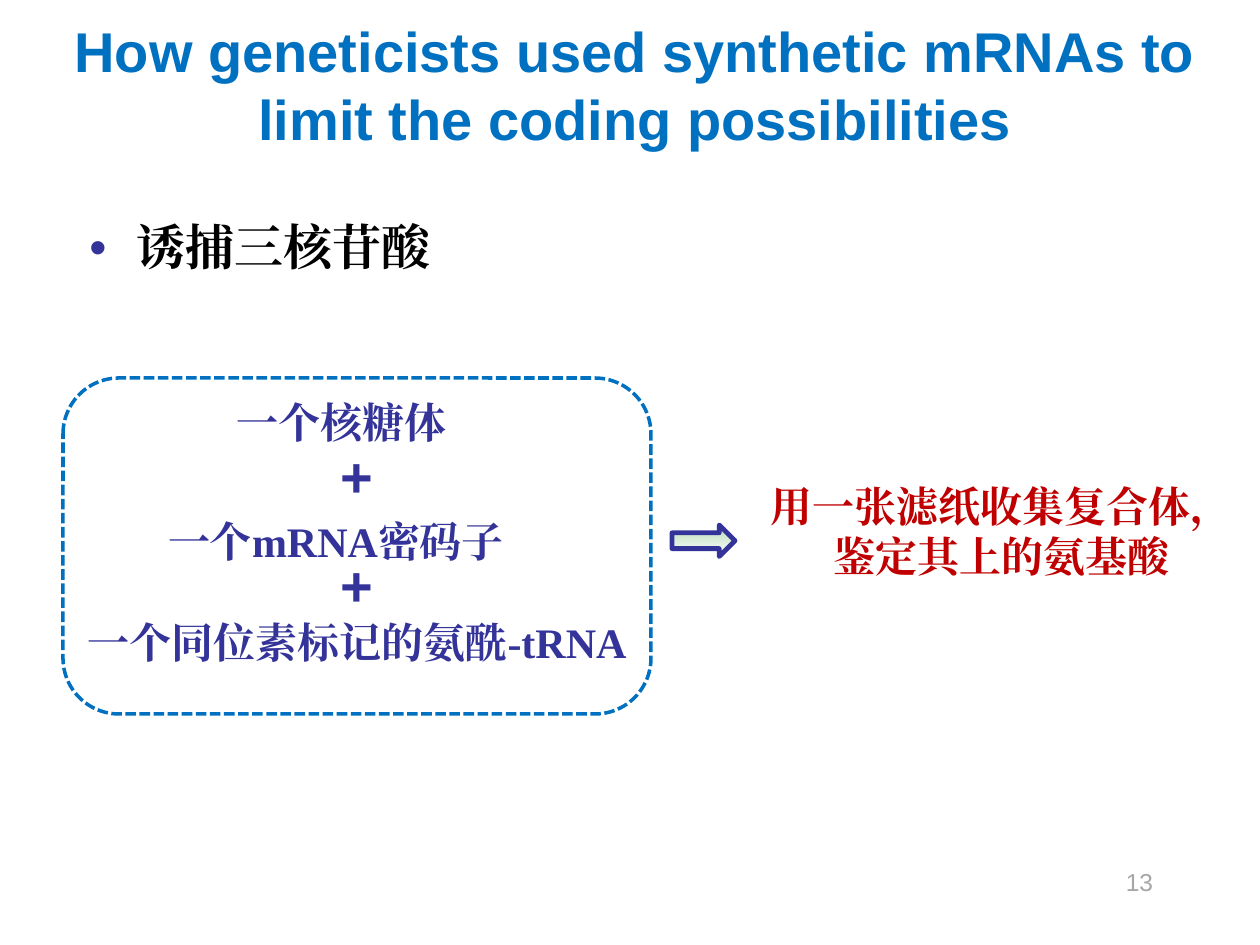
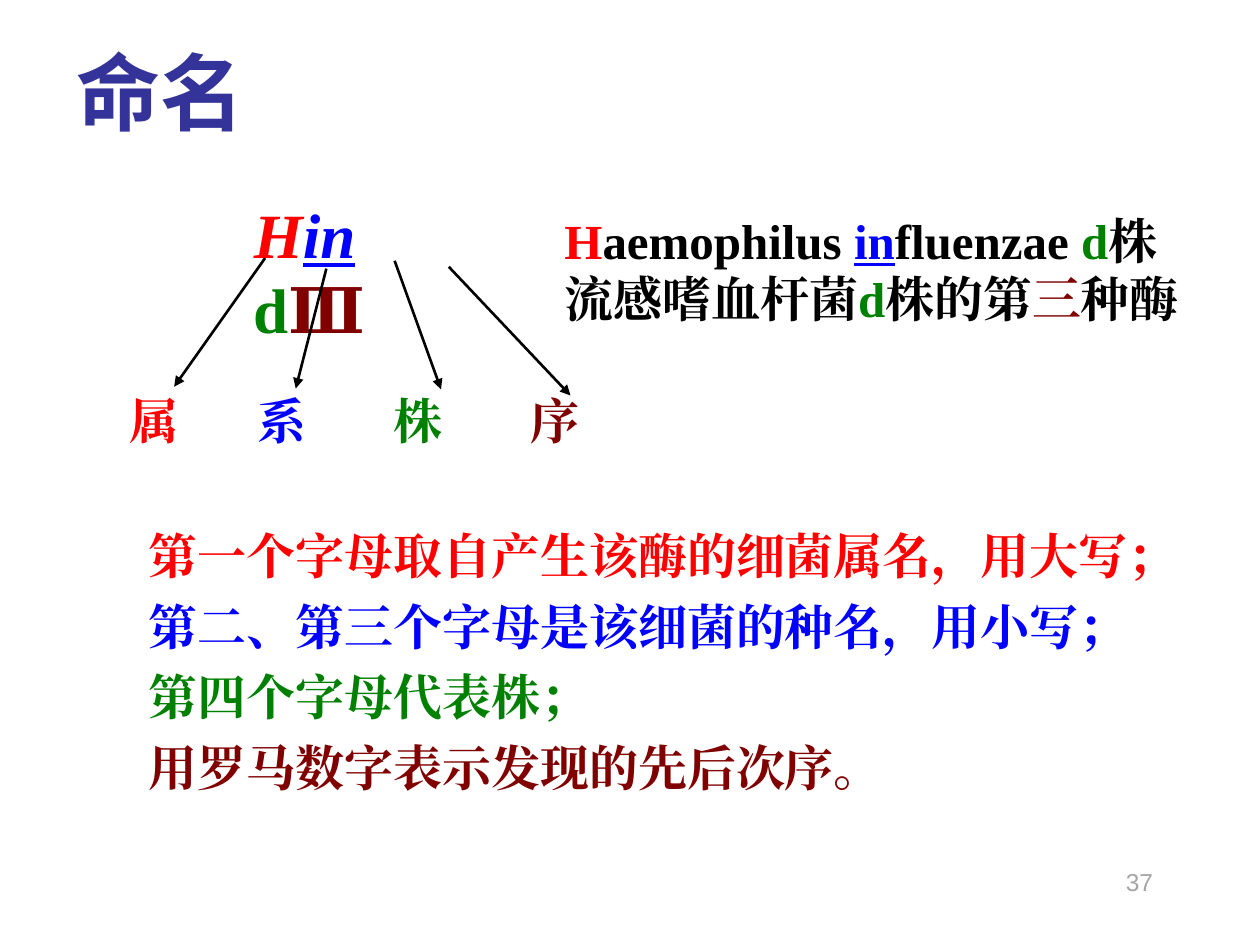
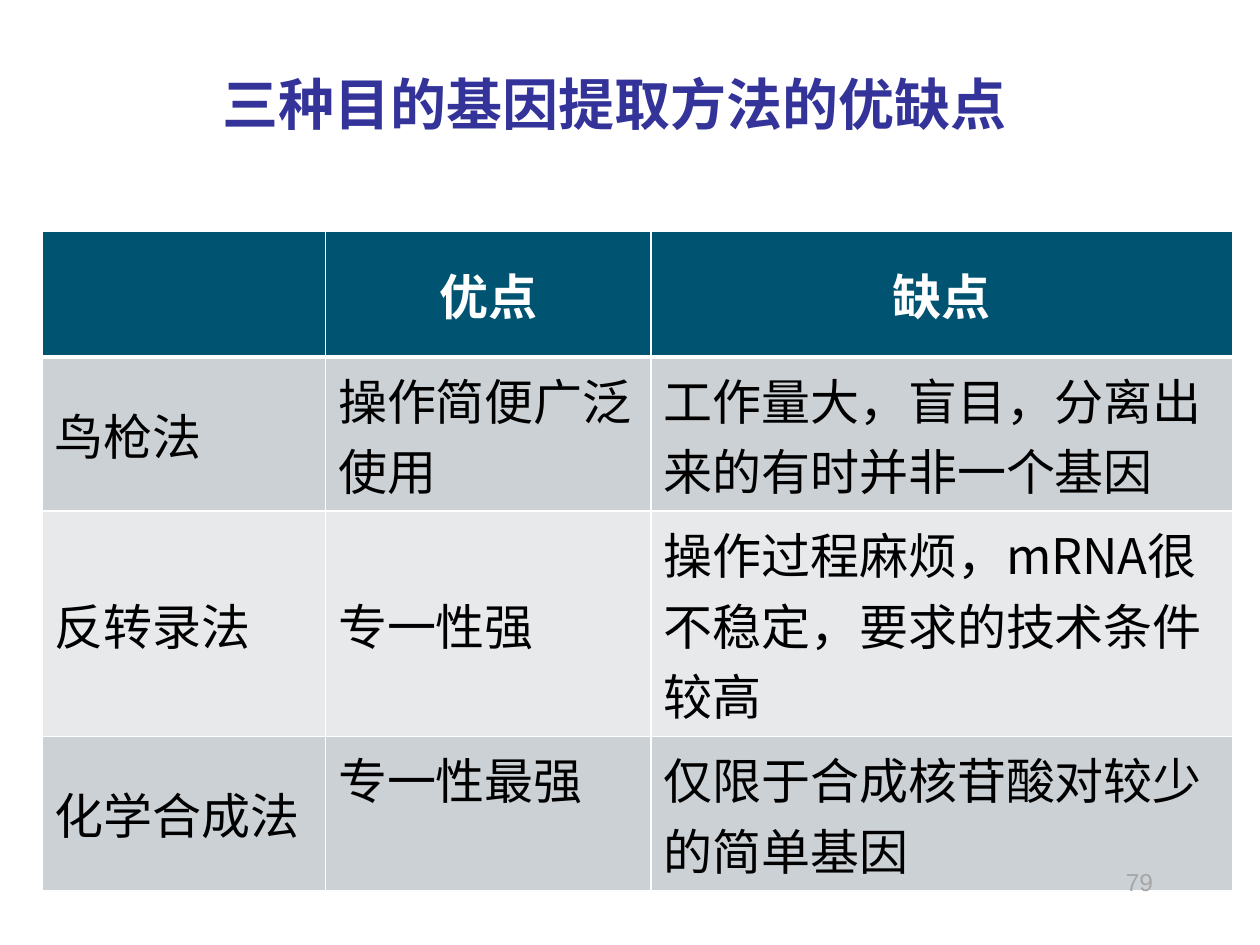
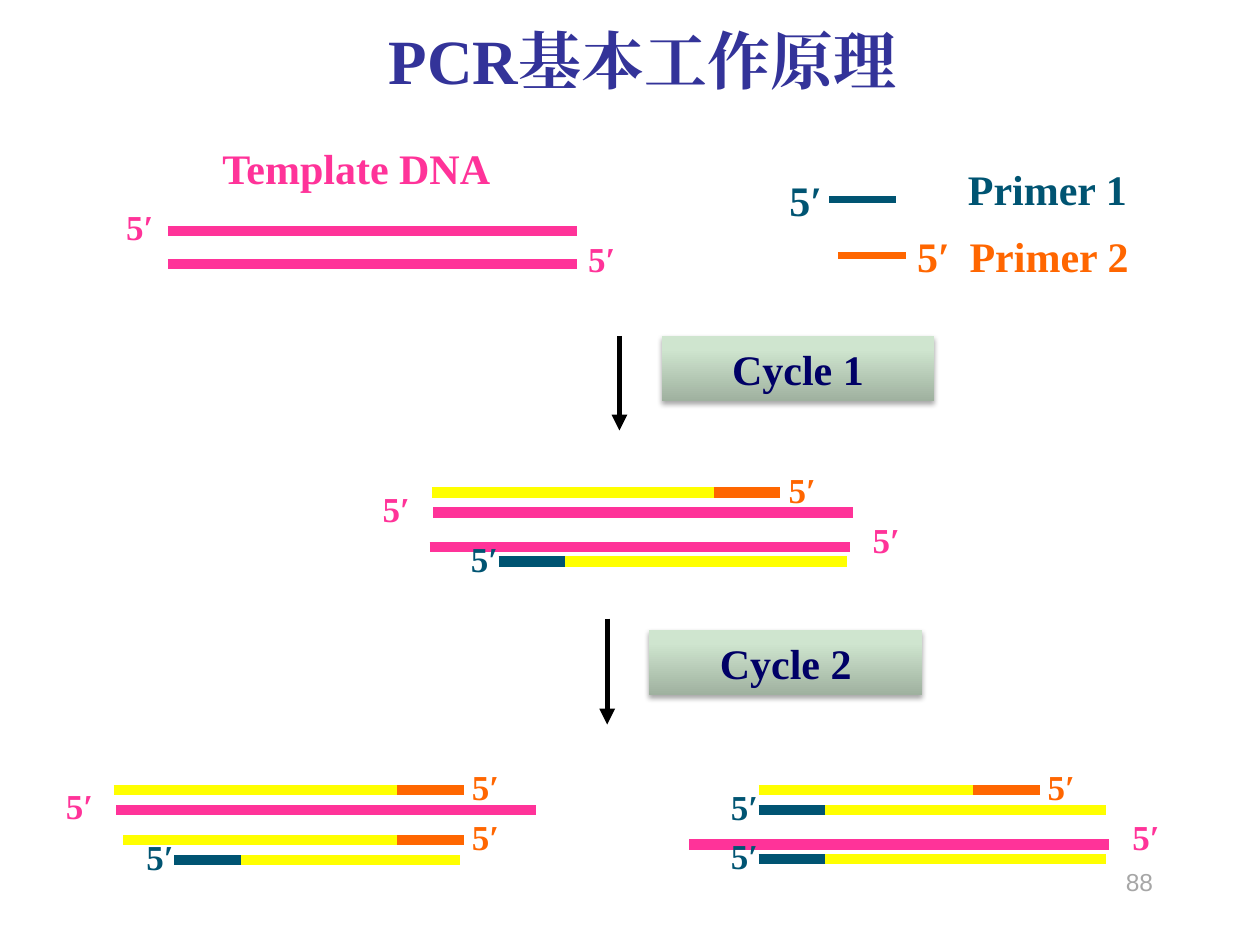
from lxml import etree
from pptx import Presentation
from pptx.dml.color import RGBColor
from pptx.enum.dml import MSO_LINE
from pptx.enum.shapes import MSO_CONNECTOR, MSO_SHAPE
from pptx.enum.text import MSO_ANCHOR, MSO_AUTO_SIZE, PP_ALIGN
from pptx.oxml.ns import qn
from pptx.util import Pt

LEFT, CENTER, RIGHT, JUSTIFY = PP_ALIGN.LEFT, PP_ALIGN.CENTER, PP_ALIGN.RIGHT, PP_ALIGN.JUSTIFY
TOP, MIDDLE = MSO_ANCHOR.TOP, MSO_ANCHOR.MIDDLE
NO_FIT = MSO_AUTO_SIZE.NONE
STRAIGHT = MSO_CONNECTOR.STRAIGHT
RECTANGLE, ROUNDED, RIGHT_ARROW = MSO_SHAPE.RECTANGLE, MSO_SHAPE.ROUNDED_RECTANGLE, MSO_SHAPE.RIGHT_ARROW
SYSTEM_DASH = MSO_LINE.SQUARE_DOT
TITLE_ONLY = 5

SERIF, SANS, CJK = "Times New Roman", "Arial", "Noto Sans CJK SC"
INDIGO, SKY, CRIMSON, GREY = "333399", "0070C0", "C00000", "A6A6A6"
BLACK, WHITE = "000000", "FFFFFF"
RED, BLUE, GREEN, MAROON = "FF0000", "0000FF", "008000", "800000"
TEAL, ORANGE, PINK, YELLOW, NAVY = "005472", "FF6600", "FF3399", "FFFF00", "000066"
BAND_DARK, BAND_LIGHT = "CCD1D5", "E7E9EB"

STRAND_WIDTH = 6
PRIMER_LENGTH = 38
TEMPLATE_LENGTH = 240


def rgb(value):
    return RGBColor.from_string(value)


def add_xml(parent, tag, **attributes):
    return etree.SubElement(parent, qn(tag), {key: str(value) for key, value in attributes.items()})


def add_color(parent, color):
    return add_xml(parent, "a:srgbClr", val=color)


def set_font(para, size, color, name=SERIF, bold=True):
    font = para.font
    font.size, font.name, font.bold = Pt(size), name, bold
    font.color.rgb = rgb(color)
    add_xml(para._p.pPr.find(qn("a:defRPr")), "a:ea", typeface=name)


def set_indent(para, margin, first):
    properties = para._p.get_or_add_pPr()
    properties.set("marL", str(Pt(margin)))
    properties.set("indent", str(Pt(first)))
    return properties


def set_bullet(para, color):
    properties = set_indent(para, 27, -27)
    add_color(add_xml(properties, "a:buClr"), color)
    add_xml(properties, "a:buFont", typeface=SANS)
    add_xml(properties, "a:buChar", char="•")


def set_tabs(para, stops):
    tabs = add_xml(para._p.get_or_add_pPr(), "a:tabLst")
    for stop in stops:
        add_xml(tabs, "a:tab", pos=Pt(stop), algn="l")


def add_spans(para, spans):
    for text, color, *marks in spans:
        span = para.add_run()
        span.text = text
        span.font.color.rgb = rgb(color)
        if "italic" in marks:
            span.font.italic = True
        if "underline" in marks:
            span.font.underline = True


def add_box(page, left, top, width, height):
    box = page.shapes.add_textbox(Pt(left), Pt(top), Pt(width), Pt(height))
    box.text_frame.word_wrap = True
    return box.text_frame


def add_label(page, text, left, top, width, height, size, color, name=SERIF, align=LEFT, bold=True):
    para = add_box(page, left, top, width, height).paragraphs[0]
    para.text = text
    para.alignment = align
    set_font(para, size, color, name, bold)
    return para


def add_page(deck, number, title, place, size, color, name, align=CENTER):
    page = deck.slides.add_slide(deck.slide_layouts[TITLE_ONLY])
    holder = page.shapes.title
    holder.left, holder.top, holder.width, holder.height = map(Pt, place)
    frame = holder.text_frame
    frame.auto_size = NO_FIT
    frame.vertical_anchor = TOP
    para = frame.paragraphs[0]
    para.text = title
    para.alignment = align
    set_font(para, size, color, name)
    return page, number


def add_number(page, number):
    add_label(page, str(number), 516, 492, 150, 36, 14, GREY, SANS, RIGHT, False)


def add_line(page, start, end, color, width, arrow=False):
    line = page.shapes.add_connector(STRAIGHT, *map(Pt, start + end))
    line.line.color.rgb = rgb(color)
    line.line.width = Pt(width)
    properties = line._element.spPr
    if arrow:
        add_xml(properties.find(qn("a:ln")), "a:tailEnd", type="triangle")
    add_xml(properties, "a:effectLst")


def add_shape(page, kind, left, top, width, height):
    shape = page.shapes.add_shape(kind, Pt(left), Pt(top), Pt(width), Pt(height))
    shape.shadow.inherit = False
    return shape


def set_gradient(shape, stops, angle):
    shape.fill.gradient()
    shape.fill.gradient_angle = angle
    stop_list = shape._element.spPr.find(qn("a:gradFill")).find(qn("a:gsLst"))
    for stop in list(stop_list):
        stop_list.remove(stop)
    for position, color in stops:
        add_color(add_xml(stop_list, "a:gs", pos=position * 1000), color)


def set_shadow(shape):
    effects = shape._element.spPr.find(qn("a:effectLst"))
    shadow = add_xml(effects, "a:outerShdw", blurRad=Pt(3.1), dist=Pt(1.8), dir=5400000, rotWithShape=0)
    add_xml(add_color(shadow, BLACK), "a:alpha", val=35000)


def set_borders(cell, widths):
    properties = cell._tc.get_or_add_tcPr()
    for index, (side, width) in enumerate(widths.items()):
        border = etree.Element(qn("a:ln" + side), {"w": str(Pt(width))})
        add_color(add_xml(border, "a:solidFill"), WHITE)
        properties.insert(index, border)


def add_grid(page, rows, left, top, widths, heights):
    frame = page.shapes.add_table(len(rows), len(widths), Pt(left), Pt(top), Pt(sum(widths)), Pt(sum(heights)))
    table = frame.table
    for column, width in zip(table.columns, widths):
        column.width = Pt(width)
    for index, (row, height) in enumerate(zip(rows, heights)):
        table.rows[index].height = Pt(height)
        header = index == 0
        fill = TEAL if header else (BAND_LIGHT, BAND_DARK)[index % 2]
        for column, text in enumerate(row):
            cell = table.cell(index, column)
            cell.fill.solid()
            cell.fill.fore_color.rgb = rgb(fill)
            cell.vertical_anchor = MIDDLE
            set_borders(cell, {"L": 1, "R": 1, "T": 3 if index == 1 else 1, "B": 3 if header else 1})
            para = cell.text_frame.paragraphs[0]
            para.text = text
            para.alignment = CENTER if header else LEFT
            set_font(para, 28, WHITE if header else BLACK, CJK, header)
    return table


def add_strand(page, left, right, y, color, width=STRAND_WIDTH):
    add_line(page, (left, y), (right, y), color, width)


def add_prime(page, left, top, color):
    add_label(page, "5′", left, top, 48, 31, 20, color)


def add_template(page, left, y, label_left):
    right = left + TEMPLATE_LENGTH
    add_strand(page, left, right, y, PINK)
    if label_left:
        add_prime(page, left - 36, y - 18, PINK)
    else:
        add_prime(page, right + 6, y - 20, PINK)


def add_orange_copy(page, left, joint, y):
    add_strand(page, left, joint, y, YELLOW)
    add_strand(page, joint, joint + PRIMER_LENGTH, y, ORANGE)
    add_prime(page, joint + 35.5, y - 17.5, ORANGE)


def add_teal_copy(page, left, right, y):
    joint = left + PRIMER_LENGTH
    add_strand(page, joint, right, y, YELLOW)
    add_strand(page, left, joint, y, TEAL)
    add_prime(page, left - 23, y - 17.5, TEAL)


def add_cycle(page, name, x, top, bottom, button_top):
    add_line(page, (x, top), (x, bottom), BLACK, 3, True)
    button = add_shape(page, RECTANGLE, x + 24, button_top, 156, 37)
    button.line.fill.background()
    set_gradient(button, [(0, "9FB19F"), (80, "CFE5CF"), (100, "CFE7CF")], 90)
    set_shadow(button)
    para = button.text_frame.paragraphs[0]
    para.text = name
    para.alignment = CENTER
    set_font(para, 24, NAVY)


def build_trap(deck):
    page, number = add_page(
        deck, 13, "How geneticists used synthetic mRNAs to limit the coding possibilities",
        (18, 6, 690, 85), 32, SKY, SANS)
    frame = add_box(page, 44, 122.5, 625, 49)
    para = frame.paragraphs[0]
    para.text = "诱捕三核苷酸"
    set_bullet(para, INDIGO)
    para.line_spacing = 0.95
    set_font(para, 28, BLACK)
    result = add_label(page, "用一张滤纸收集复合体，鉴定其上的氨基酸", 394, 271, 320, 65, 24, CRIMSON, align=CENTER)
    set_indent(result, 36.5, 0)
    parts = [
        ("一个mRNA密码子 ", 57, 291, 276),
        ("一个核糖体", 84, 223, 222),
        ("一个同位素标记的氨酰-tRNA", 24, 348.5, 360),
    ]
    for text, left, top, width in parts:
        add_label(page, text, left, top, width, 36, 24, INDIGO, align=CENTER)
    for top in (249, 311):
        add_label(page, "+", 144, top, 120, 46, 32, INDIGO, SANS, CENTER)
    outline = add_shape(page, ROUNDED, 36, 216, 336, 192)
    outline.fill.background()
    outline.line.color.rgb = rgb(SKY)
    outline.line.width = Pt(2)
    outline.line.dash_style = SYSTEM_DASH
    arrow = add_shape(page, RIGHT_ARROW, 384, 300, 36, 18)
    set_gradient(arrow, [(0, "B7DAB8"), (100, WHITE)], 270)
    arrow.line.color.rgb = rgb(INDIGO)
    arrow.line.width = Pt(2.75)
    add_number(page, number)


def build_naming(deck):
    page, number = add_page(deck, 37, "命名", (36.5, 26, 182, 60), 48, INDIGO, SANS, LEFT)
    page.shapes.title.text_frame.paragraphs[0].line_spacing = 0.9

    rules = [
        ("第一个字母取自产生该酶的细菌属名，用大写；", RED),
        ("第二、第三个字母是该细菌的种名，用小写；", BLUE),
        ("第四个字母代表株；", GREEN),
        ("用罗马数字表示发现的先后次序。", MAROON),
    ]
    frame = add_box(page, 78, 290, 607, 168)
    for index, (text, color) in enumerate(rules):
        para = frame.add_paragraph() if index else frame.paragraphs[0]
        para.text = text
        para.alignment = LEFT if index else JUSTIFY
        para.line_spacing = 1.2
        set_indent(para, 98.5, -98.5)
        set_font(para, 28, color)

    frame = add_box(page, 138, 108, 144, 51)
    frame.margin_right = Pt(66)
    enzyme = frame.paragraphs[0]
    add_spans(enzyme, [("H", RED, "italic"), ("in ", BLUE, "italic", "underline"), ("d", GREEN), ("Ⅲ", MAROON)])
    set_font(enzyme, 36, BLACK)

    ranks = add_box(page, 48, 219.5, 312, 41).paragraphs[0]
    set_tabs(ranks, (19, 92, 170, 248))
    add_spans(ranks, [("\t属", RED), ("\t系", BLUE), ("\t株", GREEN), ("\t序", MAROON)])
    set_font(ranks, 28, BLACK)

    pointers = [
        ((151.5, 147.5), (99.5, 221)),
        ((186.5, 153.5), (169, 222)),
        ((225.5, 149), (252, 222.5)),
        ((256.5, 152.5), (326, 226)),
    ]
    for start, end in pointers:
        add_line(page, start, end, BLACK, 1.5, True)

    meaning = [
        [("H", RED), ("aemophilus ", BLACK), ("in", BLUE, "underline"), ("fluenzae ", BLACK),
         ("d", GREEN), ("株", BLACK)],
        [("流感嗜血杆菌", BLACK), ("d", GREEN), ("株的第", BLACK), ("三", MAROON), ("种酶", BLACK)],
    ]
    frame = add_box(page, 315.5, 116.5, 369, 75)
    for index, spans in enumerate(meaning):
        para = frame.add_paragraph() if index else frame.paragraphs[0]
        add_spans(para, spans)
        set_font(para, 28, BLACK)
    add_number(page, number)


def build_methods(deck):
    page, number = add_page(deck, 79, "三种目的基因提取方法的优缺点", (120, 36, 480, 46), 32, INDIGO, CJK, LEFT)
    rows = [
        ("", "优点", "缺点"),
        ("鸟枪法", "操作简便广泛使用", "工作量大，盲目，分离出来的有时并非一个基因"),
        ("反转录法", "专一性强", "操作过程麻烦，mRNA很不稳定，要求的技术条件较高"),
        ("化学合成法", "专一性最强", "仅限于合成核苷酸对较少的简单基因"),
    ]
    table = add_grid(page, rows, 24, 132, (162, 186, 332.5), (72, 74, 108, 74))
    table.cell(3, 1).vertical_anchor = TOP
    add_number(page, number)


def build_pcr(deck):
    page, number = add_page(deck, 88, "PCR基本工作原理", (152, 8.5, 430.5, 50.5), 36, INDIGO, SERIF)

    add_strand(page, 474, 512, 114, TEAL, 4.5)
    add_strand(page, 479, 518, 146, ORANGE, 4.5)
    legend = [
        ("5′", 444, 96, 36, TEAL),
        ("Primer 1", 546, 90, 126, TEAL),
        ("5′", 517, 128, 48, ORANGE),
        ("Primer 2", 547, 128, 114, ORANGE),
        ("Template DNA", 120, 78, 174, PINK),
    ]
    for text, left, top, width, color in legend:
        add_label(page, text, left, top, width, 36, 24, color)

    for y in (132, 151):
        add_strand(page, 96, 330, y, PINK)
    add_prime(page, 65, 114, PINK)
    add_prime(page, 329, 132, PINK)

    add_cycle(page, "Cycle 1", 354, 192, 246, 192)
    add_cycle(page, "Cycle 2", 347, 353.5, 414, 360)

    for left, y, label_left in [(247.5, 293, True), (245.5, 312.5, False), (66.5, 463, True), (394, 482.5, False)]:
        add_template(page, left, y, label_left)
    for left, joint, y in [(247, 408, 281.5), (65, 227, 451.5), (70.5, 227, 480), (433.5, 556, 451.5)]:
        add_orange_copy(page, left, joint, y)
    for left, right, y in [(285, 484, 321), (99.5, 263, 491.5), (433.5, 632, 463), (433.5, 632, 491)]:
        add_teal_copy(page, left, right, y)
    add_number(page, number)


def main():
    deck = Presentation()
    deck.slide_width, deck.slide_height = Pt(720), Pt(540)
    for build in (build_trap, build_naming, build_methods, build_pcr):
        build(deck)
    deck.save("out.pptx")


if __name__ == "__main__":
    main()
